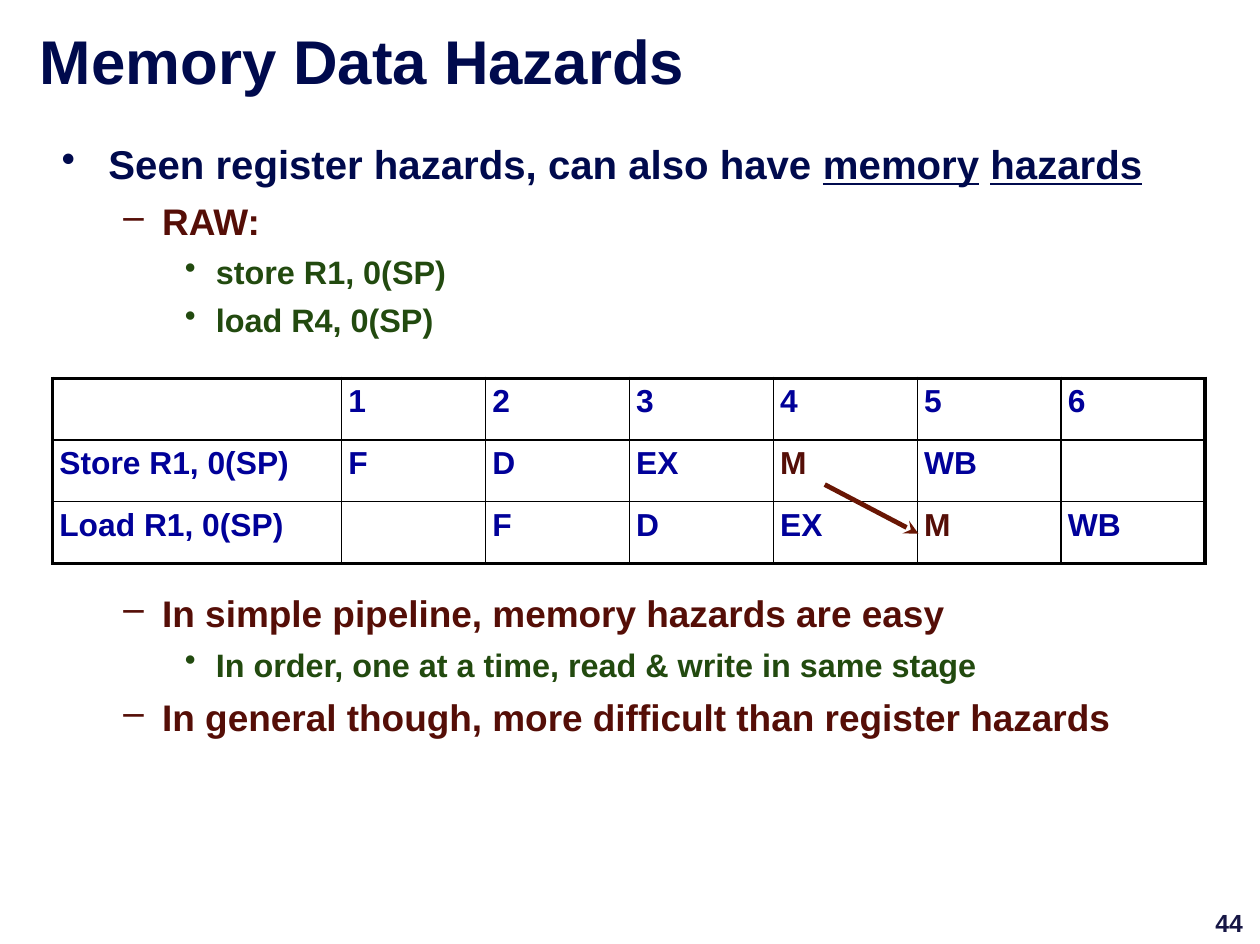
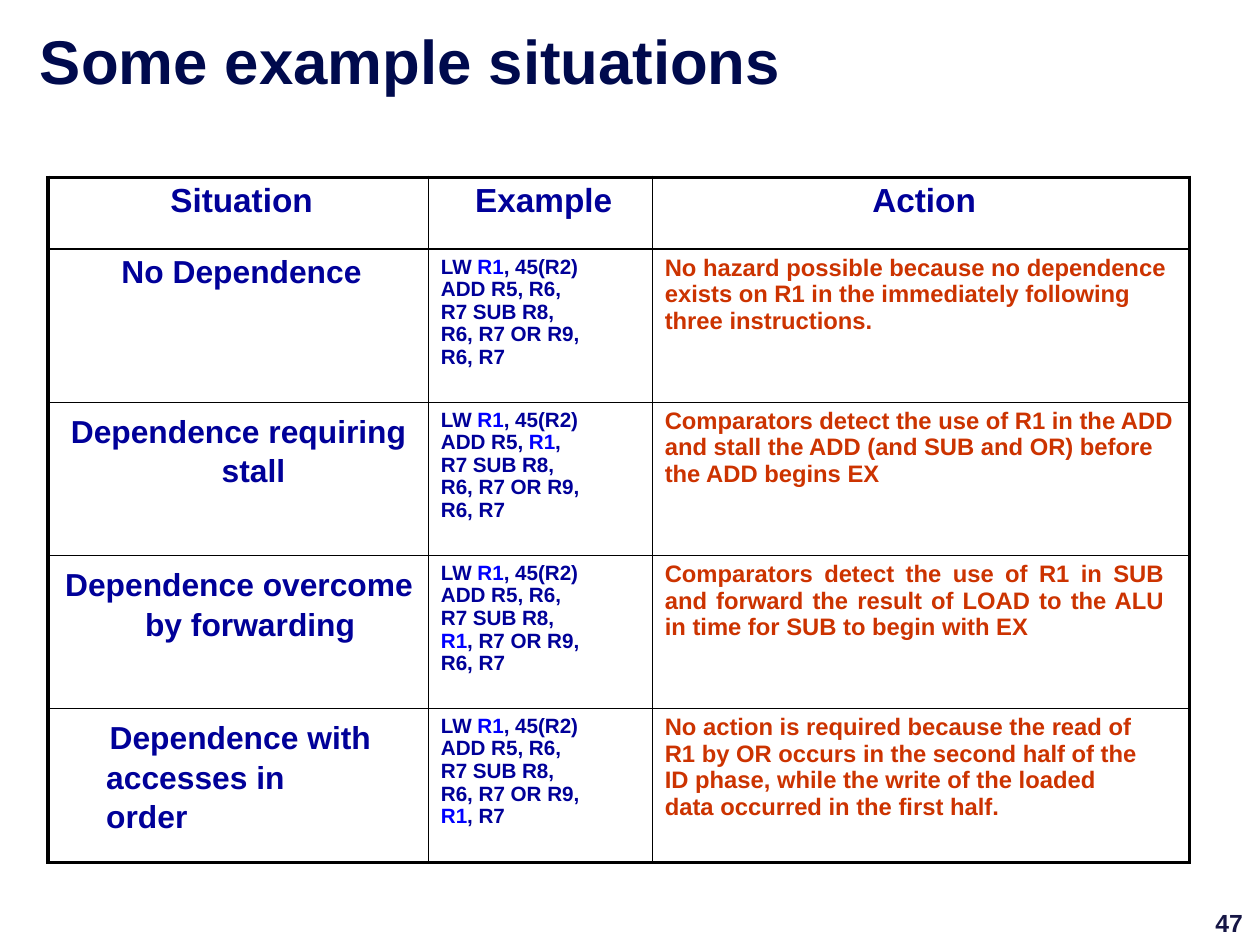
"""Build two lecture slides on memory data hazards and dependence situations."""
from lxml import etree
from pptx import Presentation
from pptx.dml.color import RGBColor
from pptx.enum import shapes, text
from pptx.oxml import ns
from pptx.util import Inches, Pt

COLORS = {"navy": "000A4D", "maroon": "550E07", "green": "224A0F", "blue": "000099",
          "register": "0000FF", "action": "CC3300", "arrow": "691604",
          "number": "161645", "border": "000000"}
CENTER, JUSTIFY = text.PP_ALIGN.CENTER, text.PP_ALIGN.JUSTIFY


def write(para, words, size, color, left=0.0, hang=0.0, before=0.0, bullet=None,
          align=None, leading=None, marked=None):
    """Fill a paragraph; words between bars are underlined or take the marked colour."""
    para.alignment = align
    para.line_spacing = leading
    para.space_before = Pt(before)
    props = para._p.get_or_add_pPr()
    props.set("marL", str(Inches(left)))
    props.set("indent", str(Inches(hang)))
    if bullet:
        etree.SubElement(props, ns.qn("a:buChar")).set("char", bullet)
    para.font.name, para.font.size, para.font.bold = "Arial", Pt(size), True
    para.font.color.rgb = RGBColor.from_string(COLORS[color])
    for index, part in enumerate(words.split("|")):
        for line_index, line in enumerate(part.split("\n")):
            if line_index:
                para.add_line_break()
            if not line:
                continue
            run = para.add_run()
            run.text = line
            if index % 2 and marked:
                run.font.color.rgb = RGBColor.from_string(COLORS[marked])
            elif index % 2:
                run.font.underline = True


def add_grid(slide, left, top, widths, heights):
    """Add an unfilled table with a thick frame and thin inner lines."""
    table = slide.shapes.add_table(
        len(heights), len(widths), Inches(left), Inches(top),
        Inches(sum(widths)), Inches(sum(heights))).table
    table.first_row = table.horz_banding = False
    for column, width in zip(table.columns, widths):
        column.width = Inches(width)
    for row, height in zip(table.rows, heights):
        row.height = Inches(height)
    for r in range(len(heights)):
        for c in range(len(widths)):
            cell = table.cell(r, c)
            cell.margin_left = cell.margin_right = cell.margin_bottom = 0
            cell.margin_top = Inches(0.05)
            outer = {"lnL": c == 0, "lnR": c == len(widths) - 1,
                     "lnT": r == 0, "lnB": r == len(heights) - 1}
            for side, thick in outer.items():
                border = etree.SubElement(cell._tc.get_or_add_tcPr(), ns.qn("a:" + side))
                border.set("w", str(Pt(2.25 if thick else 1)))
                fill = etree.SubElement(border, ns.qn("a:solidFill"))
                etree.SubElement(fill, ns.qn("a:srgbClr")).set("val", COLORS["border"])
            cell.fill.background()
    return table


deck = Presentation()
deck.slide_width, deck.slide_height = Inches(11.03), Inches(8.26)
hazards, situations = [deck.slides.add_slide(deck.slide_layouts[6]) for _ in range(2)]

TITLE = dict(size=38.9, color="navy", left=0.01, before=1)
NUMBER = dict(size=15.6, color="number", left=0.04, leading=Pt(16))
TOPIC = dict(size=25.3, color="navy", left=0.42, hang=-0.41, before=8.1, bullet="•")
POINT = dict(size=23.3, color="maroon", left=0.89, hang=-0.34, before=6.6, bullet="–")
DETAIL = dict(size=20.4, color="green", left=1.36, hang=-0.27, before=6, bullet="•")
LEVELS = [TOPIC, POINT, DETAIL]

text_blocks = [
    (hazards, 0.53, 1.11, 9.6, 1.87, 0.11, [
        (TOPIC, "Seen register hazards, can also have |memory| |hazards|"),
        (POINT, "RAW:"),
        (DETAIL, "store R1, 0(SP)"),
        (DETAIL, "load R4, 0(SP)")]),
    (hazards, 0.53, 5.06, 9.6, 1.42, 0.11, [
        (POINT, "In simple pipeline, memory hazards are easy"),
        (DETAIL, "In order, one at a time, read & write in same stage"),
        (POINT, "In general though, more difficult than register hazards")]),
]
for slide, title, number in [(hazards, "Memory Data Hazards", "44"),
                             (situations, "Some example situations", "47")]:
    text_blocks += [(slide, 0.34, 0.19, 10, 0.68, 0.01, [(TITLE, title)]),
                    (slide, 10.6, 7.98, 0.4, 0.22, 0, [(NUMBER, number)])]

for slide, left, top, width, height, inset, lines in text_blocks:
    frame = slide.shapes.add_textbox(
        Inches(left), Inches(top), Inches(width), Inches(height)).text_frame
    frame.word_wrap = True
    frame.margin_left = frame.margin_right = frame.margin_bottom = 0
    frame.margin_top = Inches(inset)
    for index, (style, words) in enumerate(lines):
        para = frame.add_paragraph() if index else frame.paragraphs[0]
        para.level = LEVELS.index(style) if style in LEVELS else 0
        write(para, words, **style)

pipeline = add_grid(hazards, 0.46, 3.31, [2.53] + [1.26] * 6, [0.54] * 3)
stages = [
    ["", "1", "2", "3", "4", "5", "6"],
    ["Store R1, 0(SP)", "F", "D", "EX", "M", "WB", ""],
    ["Load R1, 0(SP)", "", "F", "D", "EX", "M", "WB"],
]
for r, row in enumerate(stages):
    for c, stage in enumerate(row):
        if stage:
            write(pipeline.cell(r, c).text_frame.paragraphs[0], stage, 20,
                  "maroon" if stage == "M" else "blue", left=0.06, before=4)

dependence = hazards.shapes.add_connector(
    shapes.MSO_CONNECTOR.STRAIGHT, Inches(7.22), Inches(4.24), Inches(8.04), Inches(4.67))
dependence.line.color.rgb = RGBColor.from_string(COLORS["arrow"])
dependence.line.width = Pt(3)
etree.SubElement(dependence.line._get_or_add_ln(), ns.qn("a:tailEnd")).set("type", "stealth")
etree.SubElement(dependence._element.spPr, ns.qn("a:effectLst"))

cases = add_grid(situations, 0.42, 1.55, [3.33, 1.96, 4.7], [0.63] + [1.34] * 3 + [1.35])
for c, heading in enumerate(["Situation", "Example", "Action"]):
    write(cases.cell(0, c).text_frame.paragraphs[0], heading, 21, "blue",
          left=0.06, before=4, align=CENTER)

HANGING = dict(before=5, leading=Pt(25))
case_rows = [
    ("No Dependence", dict(left=0.06, before=4, align=CENTER),
     "LW |R1|, 45(R2) ADD R5, R6, R7 SUB R8, R6, R7 OR R9, R6, R7",
     "No hazard possible because no dependence exists on R1 in the immediately "
     "following three instructions.", 0.2, None),
    ("Dependence requiring stall", dict(left=1.52, hang=-1.32, **HANGING),
     "LW |R1|, 45(R2) ADD R5, |R1|, R7 SUB R8, R6, R7 OR R9, R6, R7",
     "Comparators detect the use of R1 in the ADD and stall the ADD (and SUB and OR) "
     "before the ADD begins EX", 0.1, None),
    ("Dependence overcome by forwarding", dict(left=0.85, hang=-0.7, **HANGING),
     "LW |R1|, 45(R2) ADD R5, R6, R7 SUB R8, |R1|, R7 OR R9, R6, R7",
     "Comparators detect the use of R1 in SUB and forward the result of LOAD to the ALU "
     "in time for SUB to begin with EX", 0.22, JUSTIFY),
    ("Dependence with\naccesses in\norder", dict(left=0.51, hang=0.03, **HANGING),
     "LW |R1|, 45(R2) ADD R5, R6, R7 SUB R8, R6, R7 OR R9, |R1|, R7",
     "No action is required because the read of R1 by OR occurs in the second half of the "
     "ID phase, while the write of the loaded data occurred in the first half.", 0.41, None),
]
for r, (situation, layout, example, action, action_margin, align) in enumerate(case_rows, 1):
    situation_cell, example_cell, action_cell = [cases.cell(r, c) for c in range(3)]
    situation_cell.margin_top = Inches(0.05 if r == 1 else 0.07)
    example_cell.margin_top = Inches(0.06)
    example_cell.margin_right = Inches(0.58)
    action_cell.margin_right = Inches(action_margin)
    write(situation_cell.text_frame.paragraphs[0], situation, 20, "blue", **layout)
    write(example_cell.text_frame.paragraphs[0], example, 13, "blue", left=0.11,
          before=4.2, leading=0.98, marked="register")
    write(action_cell.text_frame.paragraphs[0], action, 15, "action", left=0.11,
          before=4, align=align)

deck.save("out.pptx")
